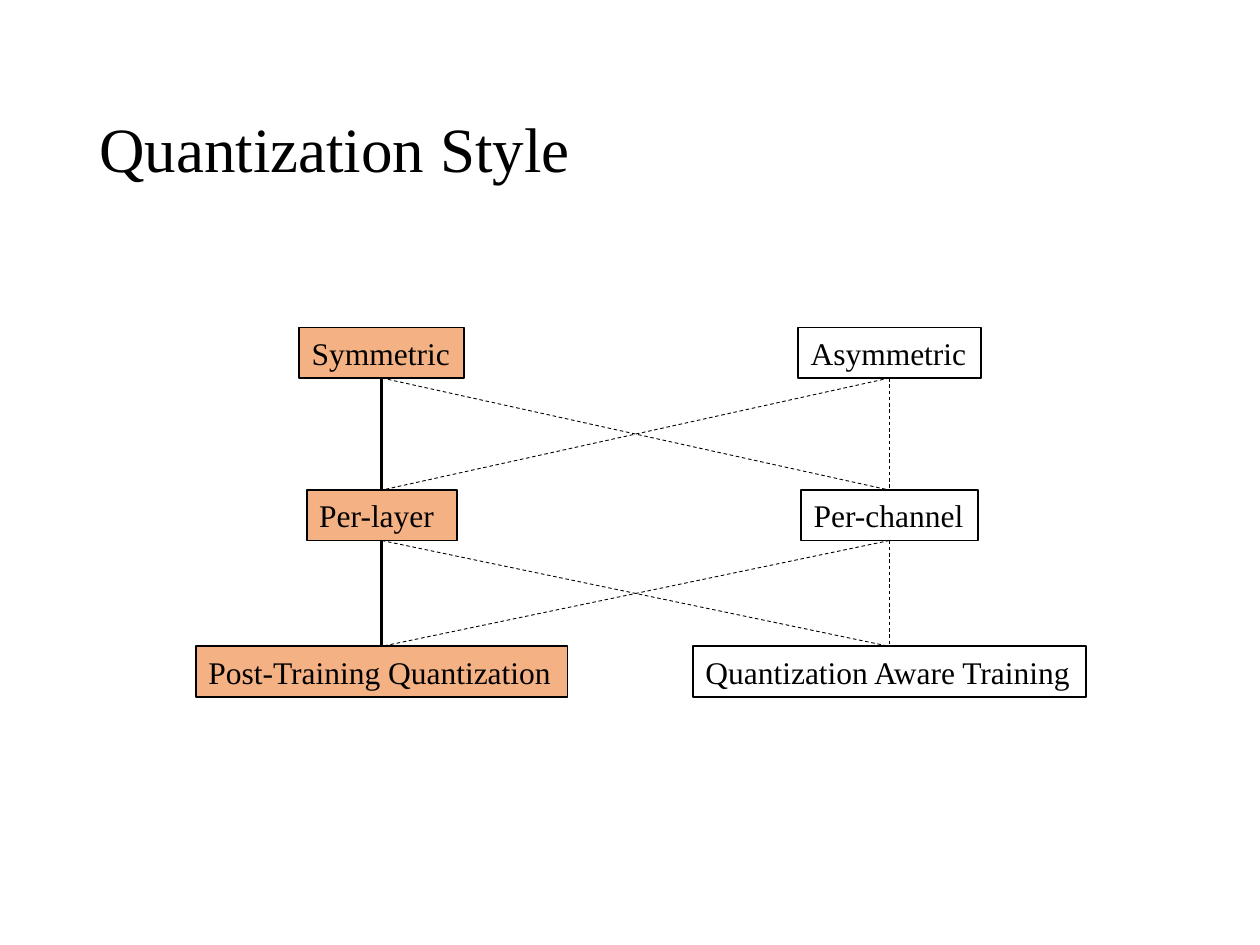
from lxml import etree
from pptx import Presentation
from pptx import util as u
from pptx.dml.color import RGBColor
from pptx.enum import dml, shapes, text
from pptx.oxml.ns import qn

COLORS = {"ink": "000000", "chosen": "F4B183", "plain": "FFFFFF"}
FONT = "Times New Roman"
BOTTOM, TOP = 2, 0


class Deck:
    """Holds the style and the current slide."""

    def __init__(self, width, height):
        self.prs = Presentation()
        self.prs.slide_width, self.prs.slide_height = u.Inches(width), u.Inches(height)
        self.s = self.prs.slides.add_slide(self.prs.slide_layouts[6])

    def color(self, name):
        return RGBColor.from_string(COLORS[name])

    def label(self, sp, words, size):
        tf = sp.text_frame
        tf.word_wrap = True
        tf.vertical_anchor = text.MSO_ANCHOR.MIDDLE
        p = tf.paragraphs[0]
        p.text = words
        p.alignment = text.PP_ALIGN.LEFT
        p.font.name, p.font.size = FONT, u.Pt(size)
        p.font.color.rgb = self.color("ink")
        return p

    def title(self, words, left, top, width, height):
        sp = self.s.shapes.add_textbox(*map(u.Inches, (left, top, width, height)))
        self.label(sp, words, 36).line_spacing = 0.9

    def box(self, words, center, top, width, fill):
        sp = self.s.shapes.add_shape(
            shapes.MSO_SHAPE.RECTANGLE,
            *map(u.Inches, (center - width / 2, top, width, 0.4)))
        sp.shadow.inherit = False
        sp.fill.solid()
        sp.fill.fore_color.rgb = self.color(fill)
        sp.line.color.rgb = self.color("ink")
        sp.line.width = u.Pt(1)
        self.label(sp, words, 18)
        sp.text_frame.margin_right = 0  # keeps each label on one line
        return sp

    def link(self, upper, lower, chosen):
        line = self.s.shapes.add_connector(shapes.MSO_CONNECTOR.STRAIGHT, 0, 0, 0, 0)
        line.begin_connect(upper, BOTTOM)
        line.end_connect(lower, TOP)
        line.line.color.rgb = self.color("ink")
        line.line.width = u.Pt(1.5 if chosen else 0.5)
        if not chosen:
            line.line.dash_style = dml.MSO_LINE.DASH
        etree.SubElement(line._element.spPr, qn("a:effectLst"))


def main():
    deck = Deck(10, 7.5)
    deck.title("Quantization Style", 0.69, 0.87, 8.62, 0.68)

    # Each level offers a chosen option (left) and an alternative (right)
    columns = [(3.03, "chosen"), (7.06, "plain")]
    levels = [
        (2.6, [("Symmetric", 1.31), ("Asymmetric", 1.45)]),
        (3.89, [("Per-layer", 1.19), ("Per-channel", 1.4)]),
        (5.13, [("Post-Training Quantization", 2.95),
                ("Quantization Aware Training", 3.12)]),
    ]
    rows = [[deck.box(words, center, top, width, fill)
             for (words, width), (center, fill) in zip(options, columns)]
            for top, options in levels]

    # Every option links to both options of the next level
    for uppers, lowers in zip(rows, rows[1:]):
        for i, upper in enumerate(uppers):
            for j, lower in enumerate(lowers):
                deck.link(upper, lower, chosen=i == j == 0)

    deck.prs.save("out.pptx")


if __name__ == "__main__":
    main()
